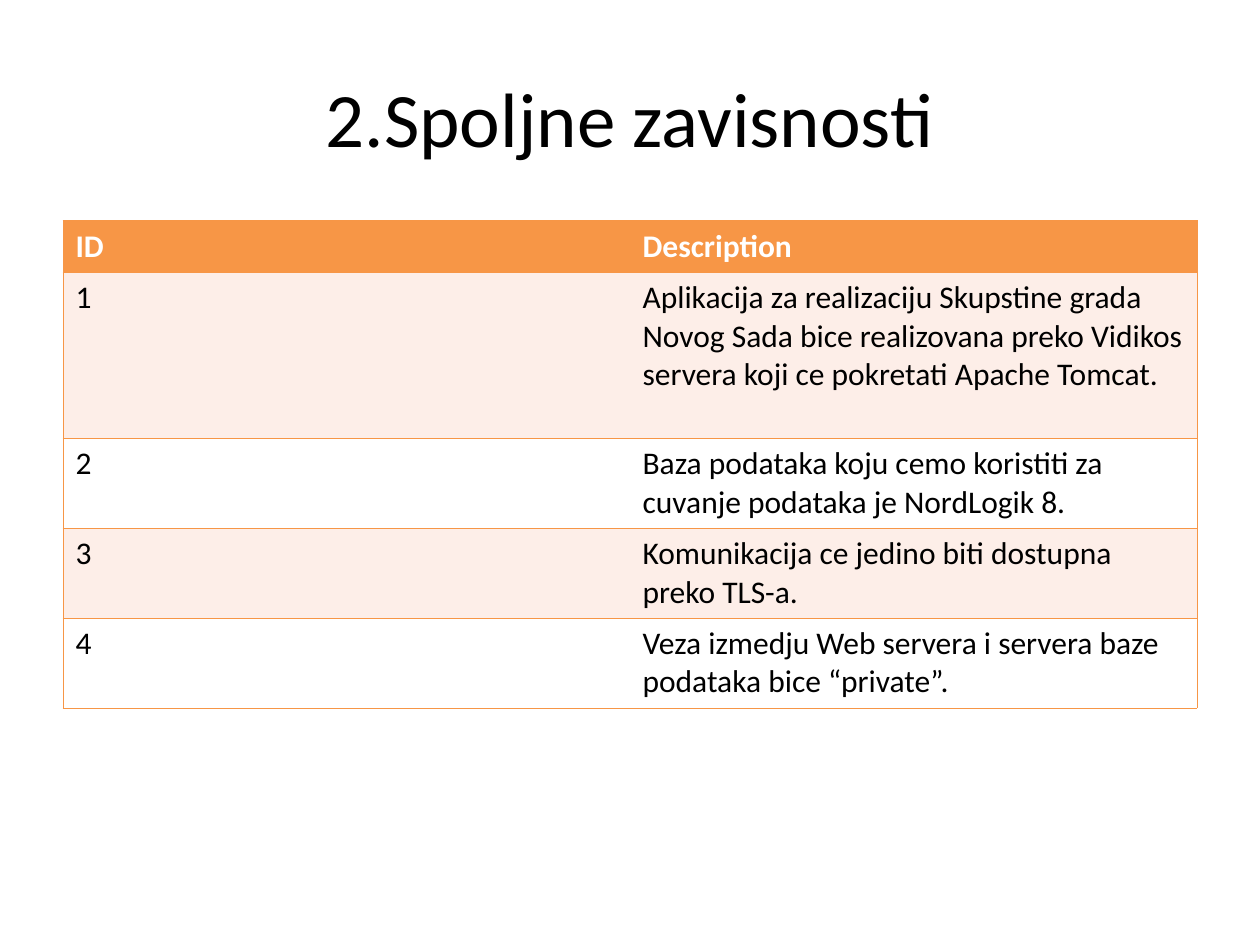
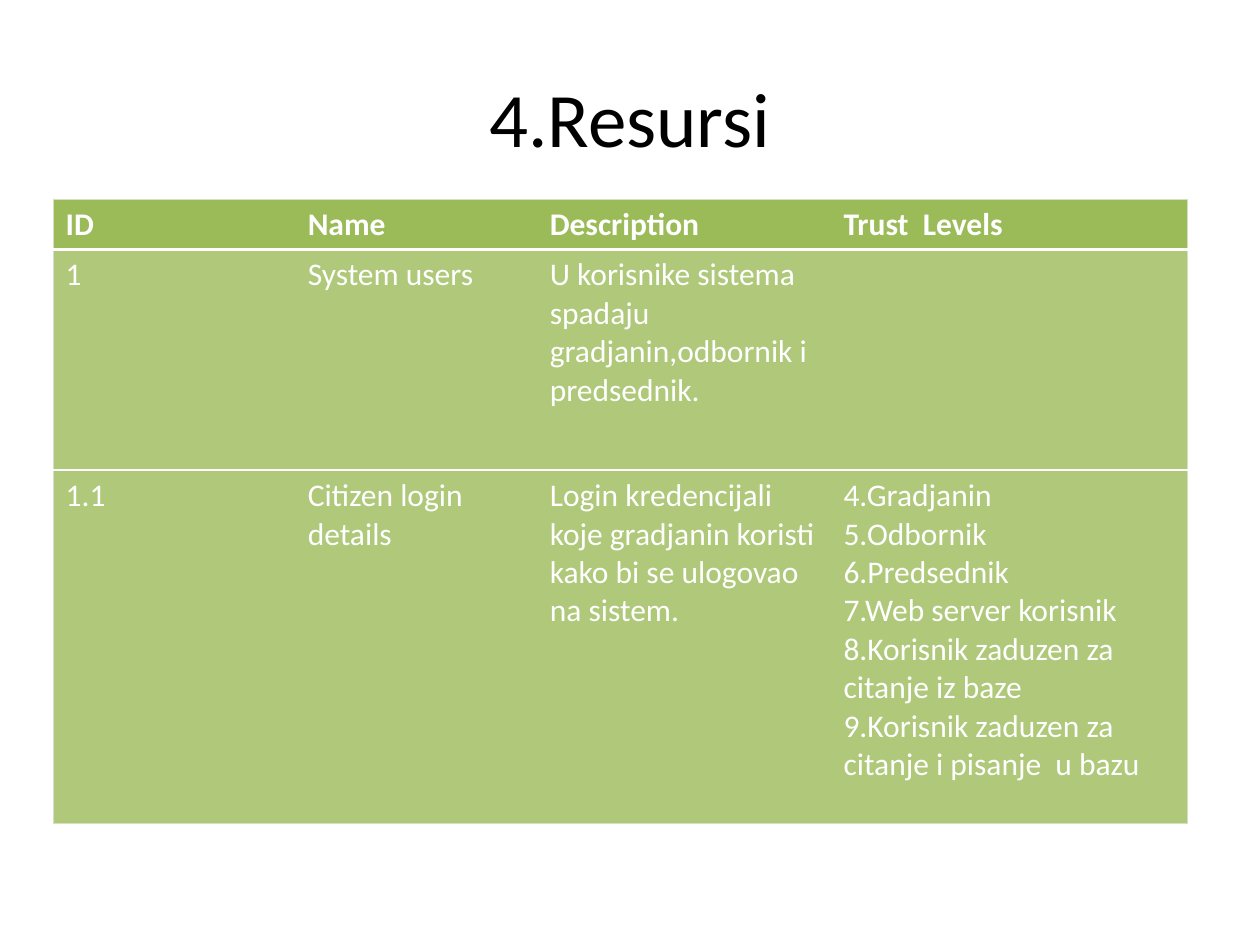
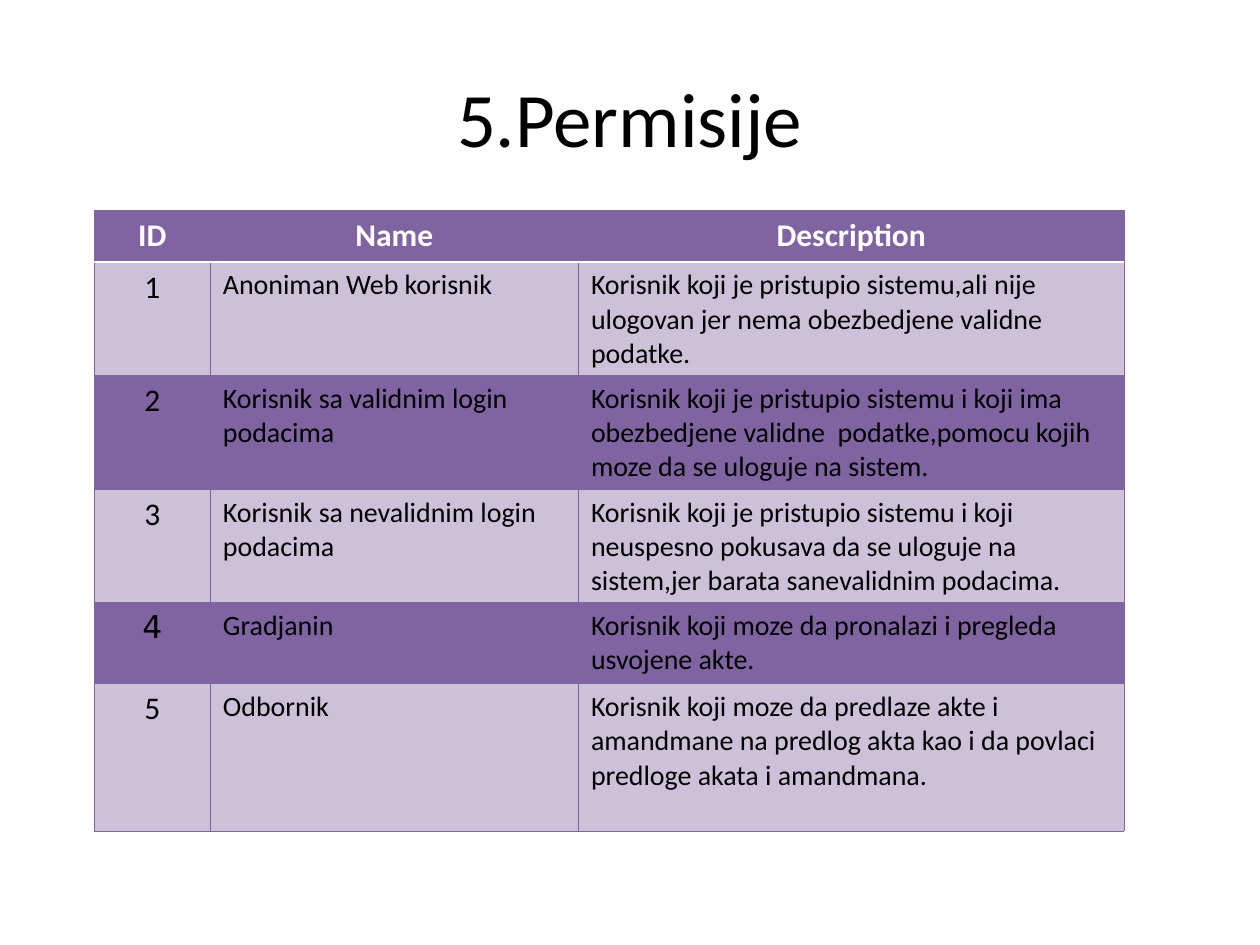
from dataclasses import dataclass

from lxml import etree
from pptx import Presentation
from pptx.dml.color import RGBColor
from pptx.enum.text import MSO_ANCHOR, PP_ALIGN
from pptx.oxml.ns import qn
from pptx.util import Cm, Pt

LEFT, CENTER = PP_ALIGN.LEFT, PP_ALIGN.CENTER
MIDDLE = MSO_ANCHOR.MIDDLE


@dataclass(frozen=True)
class Theme:
    font: str = "Calibri"
    symbol: str = "DejaVu Sans"
    black: str = "000000"
    white: str = "FFFFFF"
    title: int = 44
    text: int = 18
    small: int = 16


@dataclass(frozen=True)
class Look:
    """Table colours; each line is a (colour, points) pair or None."""
    head: str
    bands: tuple
    ink: str
    edge: tuple
    neck: tuple          # line under the header
    rule: tuple          # lines between body rows
    post: tuple = None   # lines between columns


THEME = Theme()
ORANGE_LINE = ("F79646", 0.45)
GREEN_LINE = ("D4E0C3", 0.34)
WHITE_LINE = (THEME.white, 1.47)
PURPLE_LINE = ("8064A2", 0.34)

ORANGE = Look("F79646", ("FDEEE8", THEME.white), THEME.black,
              ORANGE_LINE, ORANGE_LINE, ORANGE_LINE)
GREEN = Look("9BBB59", ("AFC87A",), THEME.white,
             GREEN_LINE, WHITE_LINE, WHITE_LINE)
PURPLE = Look("8064A2", ("CCC1D9", "8064A2"), THEME.black,
              PURPLE_LINE, (THEME.white, 0.96), PURPLE_LINE, PURPLE_LINE)

TITLE_BOX = (1.27, 0.76, 22.86, 3.18)

NEEDS = [
    ("ID", "Description"),
    ("1", "Aplikacija za realizaciju Skupstine grada Novog Sada bice "
          "realizovana preko Vidikos servera koji ce pokretati Apache Tomcat."),
    ("2", "Baza podataka koju cemo koristiti za cuvanje podataka je "
          "NordLogik 8."),
    ("3", "Komunikacija ce jedino biti dostupna preko TLS-a."),
    ("4", "Veza izmedju Web servera i servera baze podataka bice “private”."),
]

ASSETS = [
    ("ID", "Name", "Description", "Trust  Levels"),
    ("1", "System users",
     "U korisnike sistema spadaju gradjanin,odbornik i predsednik.", ""),
    ("1.1", "Citizen login details",
     "Login kredencijali koje gradjanin koristi kako bi se ulogovao na sistem.",
     "4.Gradjanin\n5.Odbornik\n6.Predsednik\n7.Web server korisnik\n"
     "8.Korisnik zaduzen za citanje iz baze\n"
     "9.Korisnik zaduzen za citanje i pisanje  u bazu"),
]

RIGHTS = [
    ("ID", "Name", "Description"),
    ("1", "Anoniman Web korisnik",
     "Korisnik koji je pristupio sistemu,ali nije ulogovan jer nema "
     "obezbedjene validne  podatke."),
    ("2", "Korisnik sa validnim login podacima",
     "Korisnik koji je pristupio sistemu i koji ima obezbedjene validne  "
     "podatke,pomocu kojih moze da se uloguje na sistem."),
    ("3", "Korisnik sa nevalidnim login podacima",
     "Korisnik koji je pristupio sistemu i koji neuspesno pokusava da se "
     "uloguje na sistem,jer barata sanevalidnim podacima."),
    ("4", "Gradjanin",
     "Korisnik koji moze da pronalazi i pregleda usvojene akte."),
    ("5", "Odbornik",
     "Korisnik koji moze da predlaze akte i amandmane na predlog akta kao i "
     "da povlaci predloge akata i amandmana."),
]


def style(frame, size, ink, bold=False, align=LEFT, font=THEME.font):
    for para in frame.paragraphs:
        para.alignment = align
        para.font.name = font
        para.font.size = Pt(size)
        para.font.bold = bold
        para.font.color.rgb = RGBColor.from_string(ink)


def add_title(slide, text, box):
    frame = slide.shapes.add_textbox(*map(Cm, box)).text_frame
    frame.word_wrap = True
    frame.vertical_anchor = MIDDLE
    frame.text = text
    style(frame, THEME.title, THEME.black, align=CENTER)


def add_line(cell, side, line):
    node = etree.SubElement(cell._tc.get_or_add_tcPr(), qn(f"a:ln{side}"))
    if line is None:
        etree.SubElement(node, qn("a:noFill"))
        return
    ink, width = line
    node.set("w", str(Pt(width)))
    fill = etree.SubElement(node, qn("a:solidFill"))
    etree.SubElement(fill, qn("a:srgbClr"), val=ink)


def add_grid(slide, rows, look, spot, widths, heights):
    """Place a table at spot and return it with fills, lines and text."""
    left, top = spot
    box = (left, top, sum(widths), sum(heights))
    grid = slide.shapes.add_table(len(rows), len(widths), *map(Cm, box)).table
    grid.first_row = grid.horz_banding = False
    for col, width in zip(grid.columns, widths):
        col.width = Cm(width)
    for row, height in zip(grid.rows, heights):
        row.height = Cm(height)

    # Lines before and after each row and column
    flat = [look.edge, look.neck] + [look.rule] * (len(rows) - 2) + [look.edge]
    tall = [look.edge] + [look.post] * (len(widths) - 1) + [look.edge]
    for r, texts in enumerate(rows):
        head = r == 0
        fill = look.head if head else look.bands[(r - 1) % len(look.bands)]
        for c, text in enumerate(texts):
            cell = grid.cell(r, c)
            sides = {"L": tall[c], "R": tall[c + 1],
                     "T": flat[r], "B": flat[r + 1]}
            for side, line in sides.items():
                add_line(cell, side, line)
            cell.fill.solid()
            cell.fill.fore_color.rgb = RGBColor.from_string(fill)
            cell.text = text
            style(cell.text_frame, THEME.text,
                  THEME.white if head else look.ink, head)
    return grid


def add_page(deck, title):
    slide = deck.slides.add_slide(deck.slide_layouts[6])
    add_title(slide, title, TITLE_BOX)
    return slide


def needs_page(deck):
    slide = add_page(deck, "2.Spoljne zavisnosti")
    add_grid(slide, NEEDS, ORANGE, (1.27, 4.45), [11.43] * 2,
             [1.04, 3.35] + [1.81] * 3)


def assets_page(deck):
    slide = add_page(deck, "4.Resursi")
    add_grid(slide, ASSETS, GREEN, (1.07, 4.01), [4.88, 4.88, 5.92, 7.19],
             [1.02, 4.45, 7.11])


def rights_page(deck):
    slide = add_page(deck, "5.Permisije")
    grid = add_grid(slide, RIGHTS, PURPLE, (1.9, 4.24), [2.34, 7.42, 11],
                    [1.04] + [2.32 - 0.03] * 3 + [1.63, 2.97])
    # Centred header and numbers, smaller body text
    for r, texts in enumerate(RIGHTS):
        for c in range(len(texts)):
            for para in grid.cell(r, c).text_frame.paragraphs:
                if r == 0 or c == 0:
                    para.alignment = CENTER
                else:
                    para.font.size = Pt(THEME.small)
    for r in (4, 5):
        grid.cell(r, 0).text_frame.paragraphs[0].font.name = (
            THEME.symbol if r == 4 else THEME.font)


def main():
    deck = Presentation()
    deck.slide_width, deck.slide_height = Cm(25.4), Cm(19.05)
    needs_page(deck)
    assets_page(deck)
    rights_page(deck)
    deck.save("out.pptx")


if __name__ == "__main__":
    main()
